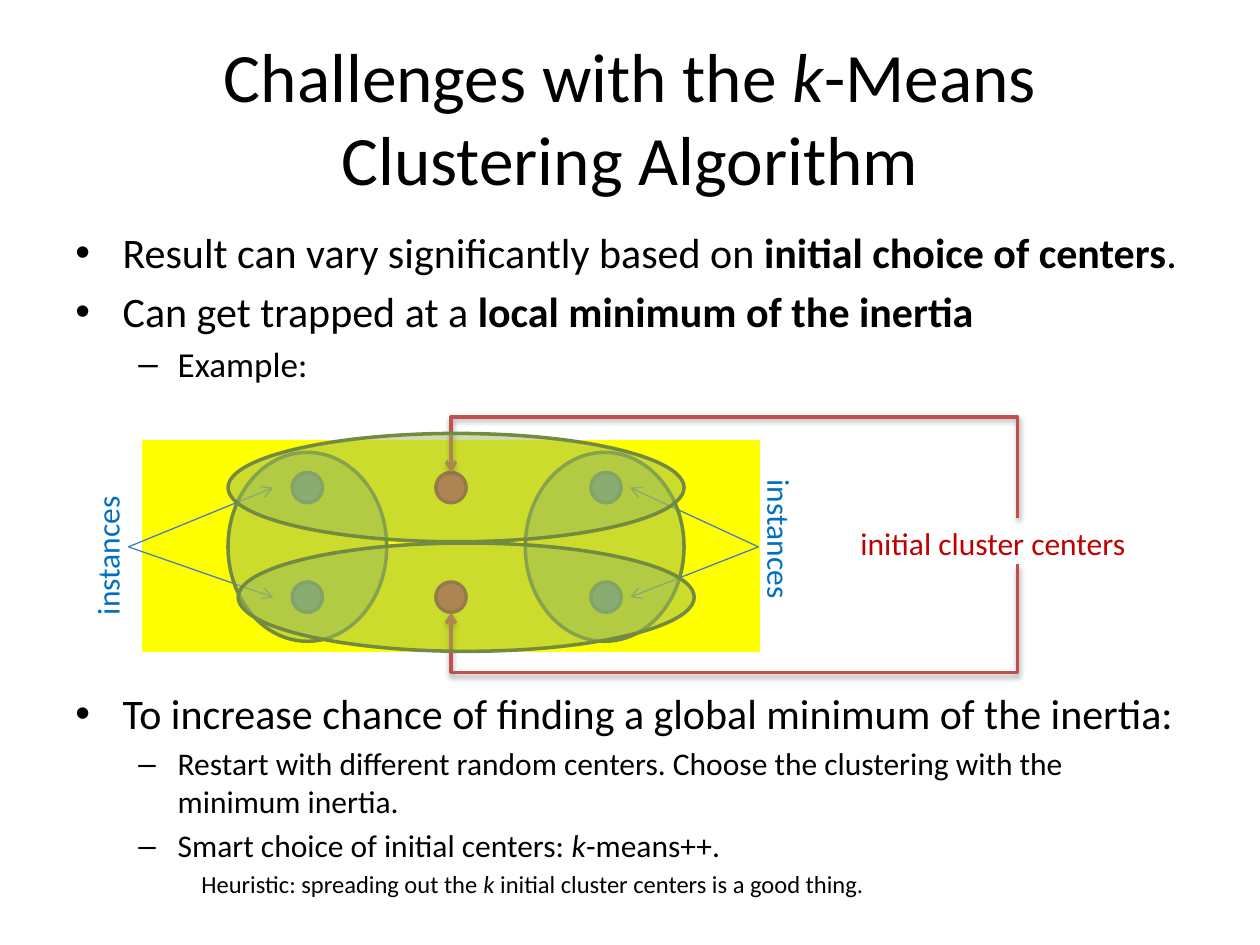
from lxml.etree import SubElement as Sub
from pptx import Presentation
from pptx.dml.color import RGBColor as RGB
from pptx.enum.shapes import MSO_CONNECTOR as Conn, MSO_SHAPE as Kind
from pptx.enum.text import MSO_ANCHOR as Anchor, PP_ALIGN as Align
from pptx.oxml.ns import qn
from pptx.util import Pt

# Theme: colours and type sizes
THEME = {
    "font": "Calibri", "black": "000000", "blue": "0070C0", "red": "C00000",
    "title": 39.6, "main": 24, "sub": 20, "small": 18, "note": 14,
}
PANEL = {"fill": "FFFF00", "line": "FFFF00"}
POINT = {"fill": "4F81BD", "line": "3A5F8C"}
CENTER = {"fill": "C0504D", "line": "8E3B39"}
GROUP = {"fill": "9BBB59", "line": "738A42", "alpha": 50}
RAY = {"color": "4B7EBC", "width": 0.75}
BEND = {"color": "C0504D", "width": 2}
BOLD, ITAL = {"bold": True}, {"italic": True}

# Content: runs are (text, format); paragraphs are (level, size name, runs)
TITLE = [("Challenges with the ", {}), ("k", ITAL),
         ("-Means Clustering Algorithm", {})]
UPPER = [
    (0, "main", [("Result can vary significantly based on ", {}),
                 ("initial choice of centers", BOLD), (".", {})]),
    (0, "main", [("Can get trapped at a ", {}),
                 ("local minimum of the inertia", BOLD)]),
    (1, "sub", [("Example:", {})]),
]
LOWER = [
    (0, "main", [("To increase chance of finding a global minimum "
                  "of the inertia:", {})]),
    (1, "small", [("Restart with different random centers. Choose the "
                   "clustering with the minimum inertia.", {})]),
    (1, "small", [("Smart choice of initial centers: ", {}), ("k", ITAL),
                  ("-means++.", {})]),
    (2, "note", [("Heuristic: spreading out the ", {}), ("k", ITAL),
                 (" initial cluster centers is a good thing.", {})]),
]
# Level: left margin, indent, bullet
LEVELS = [(27, -27, "•"), (58.5, -22.5, "–"), (72, 0, None)]

# Geometry of the example, in points
DOT = 17.3
ROWS = (270, 332.6)
COLS = (167, 337.7)
MID = 249.1
TALL = [(130.3, 258.5, 90.7, 108), (300.2, 258.5, 90.7, 108)]
WIDE = [(130.3, 247.7, 260.6, 61.9), (136.1, 310.3, 260.6, 61.9)]
# Side label: left, turn, ray start, ray end
SIDES = [(14.4, 270, 73.4, 156.2), (401, 90, 433.4, 360)]
TIPS = (278.6, 341.3)
LABEL = (484.6, 295.9, 193.7, 26.6)

deck = Presentation()
deck.slide_width, deck.slide_height = Pt(720), Pt(540)
slide = deck.slides.add_slide(deck.slide_layouts[6])
shapes = slide.shapes


def shape(kind, box, look):
    item = shapes.add_shape(kind, *map(Pt, box))
    item.shadow.inherit = False
    item.fill.solid()
    item.fill.fore_color.rgb = RGB.from_string(look["fill"])
    item.line.color.rgb = RGB.from_string(look["line"])
    item.line.width = Pt(2)
    if "alpha" in look:
        tint = item.fill._xPr.find(qn("a:solidFill"))[0]
        Sub(tint, qn("a:alpha"), val=str(look["alpha"] * 1000))


def write(para, runs, size, color="black"):
    for text, form in runs:
        run = para.add_run()
        run.text = text
        base = {"name": THEME["font"], "size": Pt(THEME[size])}
        for key, val in {**base, **form}.items():
            setattr(run.font, key, val)
        run.font.color.rgb = RGB.from_string(THEME[color])


def frame(box, wrap=True):
    item = shapes.add_textbox(*map(Pt, box))
    item.text_frame.word_wrap = wrap
    return item


def label(box, text, color, turn=0):
    item = frame(box, wrap=False)
    item.rotation = turn
    write(item.text_frame.paragraphs[0], [(text, {})], "small", color)
    return item


def bullets(box, rows):
    text = frame(box).text_frame
    for num, (level, size, runs) in enumerate(rows):
        para = text.add_paragraph() if num else text.paragraphs[0]
        para.level = level
        para.space_before = Pt(THEME[size] * 0.2 if num else 0)
        left, inset, mark = LEVELS[level]
        prop = para._p.get_or_add_pPr()
        prop.set("marL", str(Pt(left)))
        prop.set("indent", str(Pt(inset)))
        if mark:
            Sub(prop, qn("a:buFont"), typeface="Arial")
            Sub(prop, qn("a:buChar"), char=mark)
        write(para, runs, size)


def arrow(kind, ends, look):
    line = shapes.add_connector(kind, *map(Pt, ends))
    line.line.color.rgb = RGB.from_string(look["color"])
    line.line.width = Pt(look["width"])
    Sub(line.line._get_or_add_ln(), qn("a:tailEnd"), type="arrow")
    prop = line._element.spPr
    return line, prop, Sub(prop, qn("a:effectLst"))


def bend(x1, y1, x2, y2, adj):
    """Elbow that leaves upright, runs past its start, and returns."""
    wide, high = abs(y2 - y1), abs(x2 - x1)
    left, top = (x1 + x2 - wide) / 2, (y1 + y2 - high) / 2
    _, prop, glow = arrow(Conn.ELBOW, (left, top, left + wide, top + high), BEND)
    up = y2 < y1
    form = prop.find(qn("a:xfrm"))
    form.set("rot", str((270 if up else 90) * 60000))
    if up:
        form.set("flipV", "1")
    geom = prop.find(qn("a:prstGeom"))
    guides = geom.find(qn("a:avLst"))
    if guides is None:
        guides = Sub(geom, qn("a:avLst"))
    Sub(guides, qn("a:gd"), name="adj1", fmla=f"val {round(adj * 100000)}")
    cast = Sub(glow, qn("a:outerShdw"), blurRad=str(Pt(3.1)),
               dist=str(Pt(1.6)), dir="5400000", rotWithShape="0")
    tint = Sub(cast, qn("a:srgbClr"), val="000000")
    Sub(tint, qn("a:alpha"), val="38000")


# Panel and instances
shape(Kind.RECTANGLE, (82, 252.7, 351.4, 118.8), PANEL)
for y in ROWS:
    for x in COLS:
        shape(Kind.OVAL, (x, y, DOT, DOT), POINT)

# Side labels with rays to the instances
for left, turn, start, end in SIDES:
    side = label((left, 299.5, 91.4, 26.6), "instances", "blue", turn)
    for tip in TIPS:
        ray = arrow(Conn.STRAIGHT, (start, 312.5, end, tip), RAY)[0]
        ray.begin_connect(side, 2)
        # The turned label has its lower side at the ray start
        ray.begin_x, ray.begin_y = Pt(start), Pt(312.5)

# Title and text
head = frame((36, 21.6, 648, 90)).text_frame
head.vertical_anchor = Anchor.MIDDLE
head.paragraphs[0].alignment = Align.CENTER
write(head.paragraphs[0], TITLE, "title")
bullets((36, 126, 648, 100), UPPER)
bullets((36, 389.4, 648, 130), LOWER)

# Good clusters, then the initial centers
for box in TALL:
    shape(Kind.OVAL, box, GROUP)
for y in ROWS:
    shape(Kind.OVAL, (MID, y, DOT, DOT), CENTER)
label(LABEL, "initial cluster centers", "red")
x, y, wide, high = LABEL
for start, end, adj in [(y, ROWS[0], 2.22), (y + high, ROWS[1] + DOT, 2.25)]:
    bend(x + wide / 2, start, MID + DOT / 2, end, adj)

# Clusters of the local minimum
for box in WIDE:
    shape(Kind.OVAL, box, GROUP)

deck.save("out.pptx")
